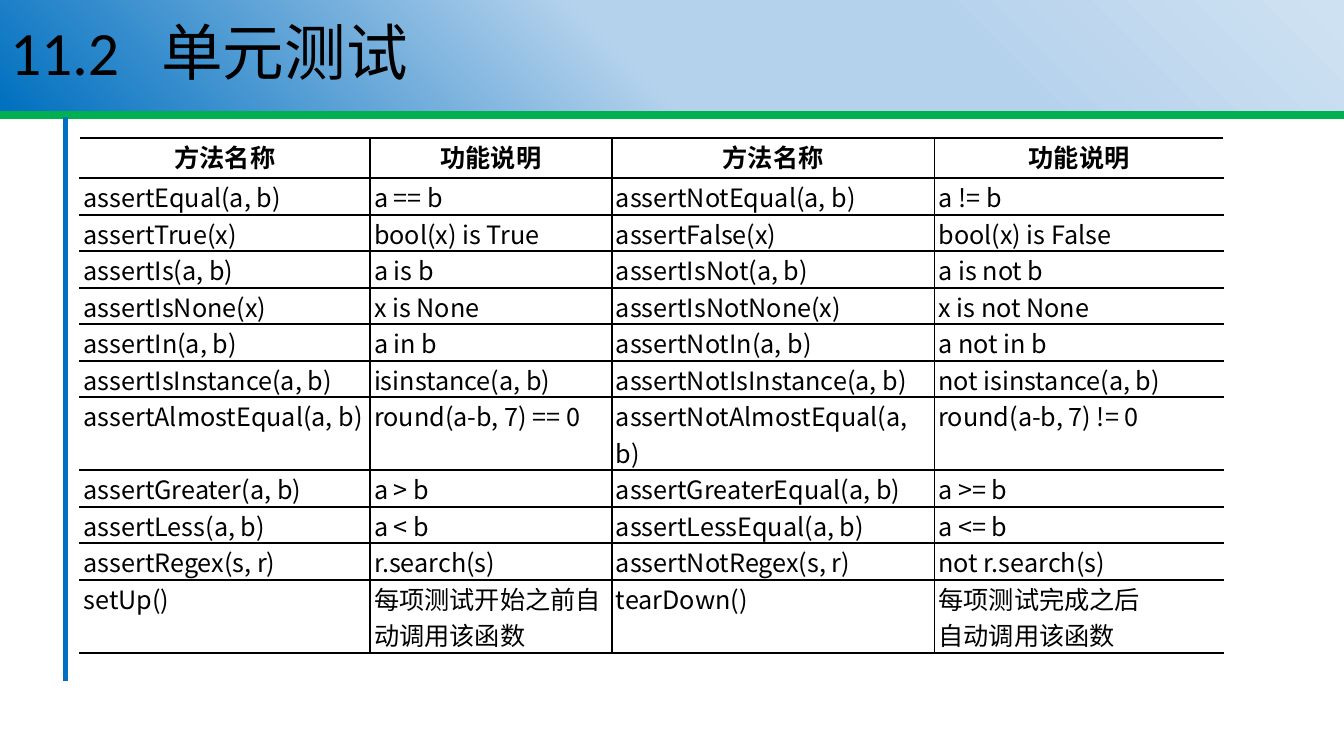
from copy import deepcopy
from lxml.etree import SubElement as sub
from pptx import Presentation
from pptx.dml.color import RGBColor as RGB
from pptx.enum.shapes import MSO_CONNECTOR as LINK
from pptx.enum.text import MSO_ANCHOR as ANCHOR, MSO_AUTO_SIZE as FIT, PP_ALIGN as ALIGN
from pptx.oxml.ns import qn
from pptx.util import Pt

HUES = {"ink": "000000", "green": "00B050", "blue": "0070C0",
        "pale": "CEE1F2", "sky": "B5D2EC"}
FADE = [(1, "pale"), (29, "sky"), (53, "sky"), (100, "blue")]
CJK = "Noto Sans CJK SC"
COLS = [207.4, 172.8, 230.4, 206.6]
HEAD, ROW = 28.8, 25.2
ROWS = [
    ["方法名称", "功能说明", "方法名称", "功能说明"],
    ["assertEqual(a, b)", "a == b", "assertNotEqual(a, b)", "a != b"],
    ["assertTrue(x)", "bool(x) is True", "assertFalse(x)", "bool(x) is False"],
    ["assertIs(a, b)", "a is b", "assertIsNot(a, b)", "a is not b"],
    ["assertIsNone(x)", "x is None", "assertIsNotNone(x)", "x is not None"],
    ["assertIn(a, b)", "a in b", "assertNotIn(a, b)", "a not in b"],
    ["assertIsInstance(a, b)", "isinstance(a, b)",
     "assertNotIsInstance(a, b)", "not isinstance(a, b)"],
    ["assertAlmostEqual(a, b)", "round(a-b, 7) == 0",
     "assertNotAlmostEqual(a, b)", "round(a-b, 7) != 0"],
    ["assertGreater(a, b)", "a > b", "assertGreaterEqual(a, b)", "a >= b"],
    ["assertLess(a, b)", "a < b", "assertLessEqual(a, b)", "a <= b"],
    ["assertRegex(s, r)", "r.search(s)", "assertNotRegex(s, r)", "not r.search(s)"],
    ["setUp()", "每项测试开始之前自动调用该函数",
     "tearDown()", "每项测试完成之后\n自动调用该函数"],
]


def write(frame, text, size=18, face=CJK, bold=False, align=ALIGN.LEFT, lead=None):
    """Fill a text frame and format each of its paragraphs."""
    frame.text = text
    for par in frame.paragraphs:
        par.alignment = align
        par.line_spacing = lead
        for run in par.runs:
            font = run.font
            font.name, font.size, font.bold = face, Pt(size), bold
            font.color.rgb = RGB.from_string(HUES["ink"])
            sub(font._element, qn("a:ea"), typeface=CJK)


def rule(slide, x1, y1, x2, y2, hue, width):
    """Draw a straight line without a shadow."""
    line = slide.shapes.add_connector(LINK.STRAIGHT, Pt(x1), Pt(y1), Pt(x2), Pt(y2))
    line.line.color.rgb = RGB.from_string(HUES[hue])
    line.line.width = Pt(width)
    sub(line._element.spPr, qn("a:effectLst"))


def fade(fill):
    """Apply the four-stop slanted gradient."""
    fill.gradient()
    fill.gradient_angle = 225
    stops = fill._xPr.find(qn("a:gradFill")).find(qn("a:gsLst"))
    for stop in list(stops)[:2]:
        stops.append(deepcopy(stop))
    for stop, (pos, hue) in zip(fill.gradient_stops, FADE):
        stop.position = pos / 100
        stop.color.rgb = RGB.from_string(HUES[hue])


def banner(slide, x, y, w, h):
    """Place the title band with the green rule below it."""
    title = slide.shapes.title
    title.left, title.top, title.width, title.height = Pt(x), Pt(y), Pt(w), Pt(h)
    fade(title.fill)
    frame = title.text_frame
    frame.word_wrap, frame.auto_size = True, FIT.NONE
    frame.vertical_anchor = ANCHOR.MIDDLE
    write(frame, "11.2\t单元测试", size=44, face="Calibri", lead=0.9)
    tabs = sub(frame.paragraphs[0]._p.get_or_add_pPr(), qn("a:tabLst"))
    sub(tabs, qn("a:tab"), pos=str(Pt(108)), algn="l")
    rule(slide, x, y + h + 2.9, x + w, y + h + 2.9, "green", 5.25)


def edge(cell, sides):
    """Give a cell black borders on the named sides."""
    props = cell._tc.get_or_add_tcPr()
    for side in sides:
        line = sub(props, qn("a:ln" + side), w=str(Pt(1.5)))
        sub(sub(line, qn("a:solidFill")), qn("a:srgbClr"), val=HUES["ink"])


def grid(slide, x, y, w, h):
    """Place the table of test methods."""
    table = slide.shapes.add_table(len(ROWS), len(COLS), Pt(x), Pt(y), Pt(w), Pt(h)).table
    table.first_row = table.horz_banding = False
    for col, wide in zip(table.columns, COLS):
        col.width = Pt(wide)
    for i, texts in enumerate(ROWS):
        top = i == 0
        table.rows[i].height = Pt(HEAD if top else ROW)
        for j, text in enumerate(texts):
            cell = table.cell(i, j)
            cell.margin_left = Pt(0 if top else 2.9)
            cell.margin_right = cell.margin_top = cell.margin_bottom = 0
            sides = ["L"] * (j > 0) + ["R"] * (j < len(COLS) - 1) + ["T", "B"]
            edge(cell, sides)
            cell.fill.background()
            write(cell.text_frame, text, bold=top,
                  align=ALIGN.CENTER if top else ALIGN.LEFT)
    table.rows[len(ROWS) - 1].height = Pt(2 * ROW)


def main():
    """Build and save the slide."""
    deck = Presentation()
    deck.slide_width, deck.slide_height = Pt(960), Pt(540)
    slide = deck.slides.add_slide(deck.slide_layouts[5])
    banner(slide, 0, 0, 960, 79.2)
    rule(slide, 46.8, 83.5, 46.8, 486.7, "blue", 3.75)
    grid(slide, 56.9, 98.6, sum(COLS), HEAD + ROW * len(ROWS))
    deck.save("out.pptx")


if __name__ == "__main__":
    main()
